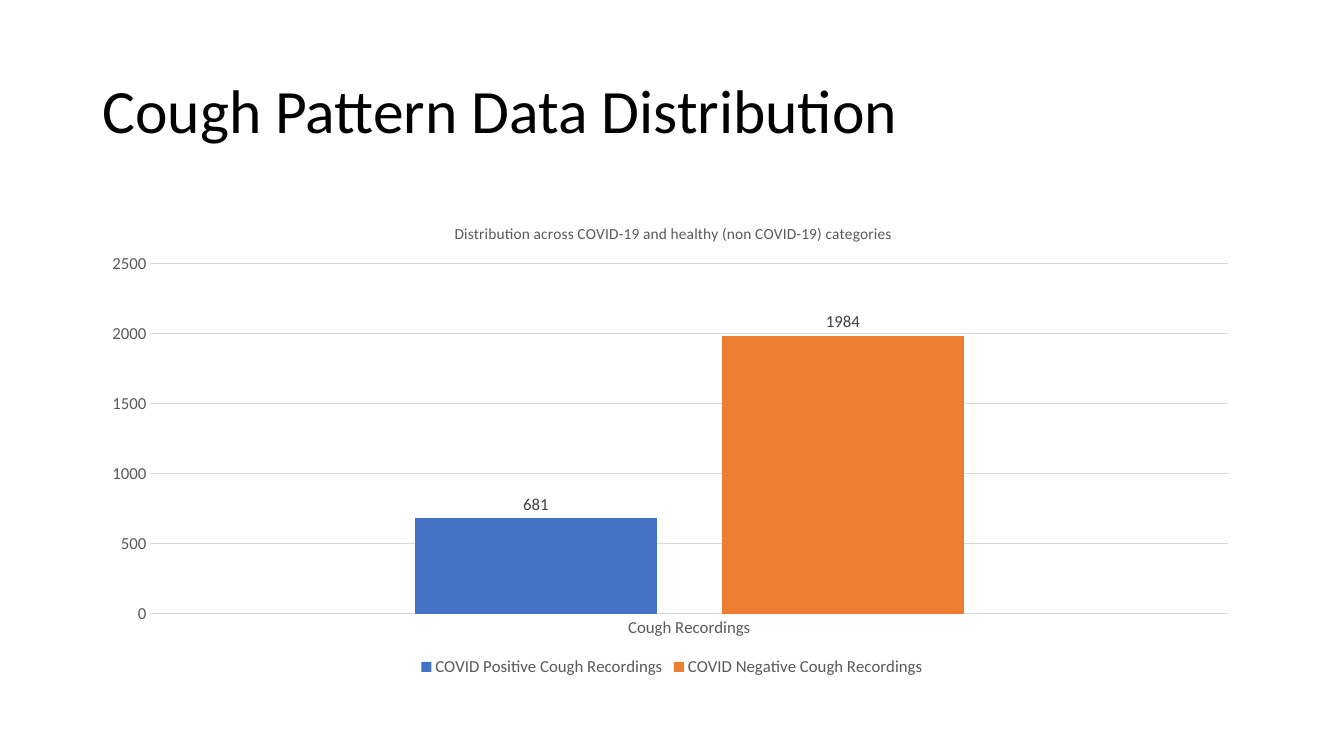
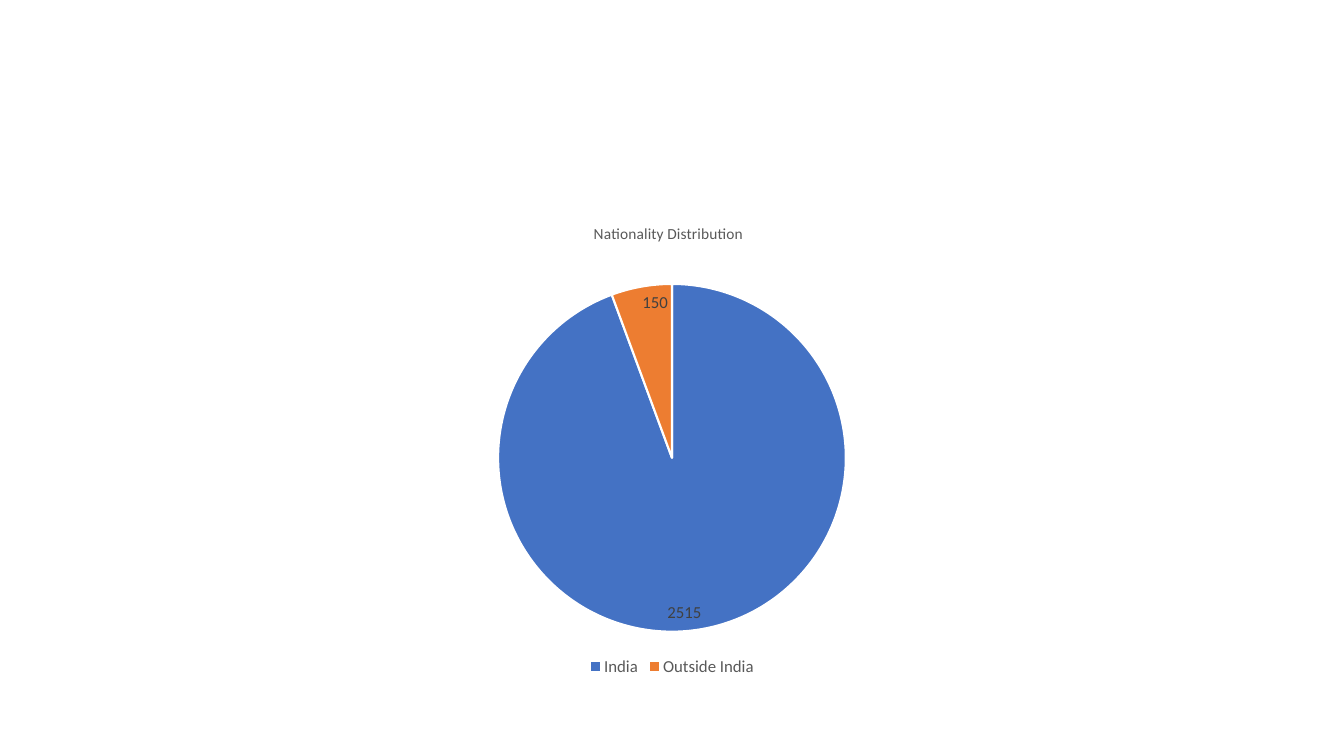
from lxml import etree
from pptx import Presentation
from pptx.chart.data import CategoryChartData
from pptx.dml.color import RGBColor
from pptx.enum.chart import XL_CHART_TYPE, XL_LABEL_POSITION, XL_LEGEND_POSITION, XL_TICK_MARK
from pptx.enum.text import MSO_ANCHOR, PP_ALIGN
from pptx.oxml.ns import qn
from pptx.util import Cm, Pt

COLUMN = XL_CHART_TYPE.COLUMN_CLUSTERED
PIE = XL_CHART_TYPE.PIE
OUTSIDE_END = XL_LABEL_POSITION.OUTSIDE_END
INSIDE_END = XL_LABEL_POSITION.INSIDE_END
LEGEND_BOTTOM = XL_LEGEND_POSITION.BOTTOM
NO_TICK = XL_TICK_MARK.NONE
LEFT = PP_ALIGN.LEFT
MIDDLE = MSO_ANCHOR.MIDDLE

FONT = "Calibri"
BLACK, WHITE = "000000", "FFFFFF"
GRAY, DARK_GRAY, GRID_GRAY = "595959", "404040", "D9D9D9"
ACCENTS = ["4472C4", "ED7D31"]
MARGIN, CONTENT_WIDTH = Cm(2.33), Cm(29.21)
TITLE_ONLY, BLANK = 5, 6


def style_font(font, size, color):
    font.name = FONT
    font.size = Pt(size)
    font.bold = False
    font.color.rgb = RGBColor.from_string(color)


def place_part(part, **fractions):
    layout = part.find(qn("c:layout"))
    if layout is None:
        layout = etree.Element(qn("c:layout"))
        part.insert(0, layout)
    for child in list(layout):
        layout.remove(child)
    manual = etree.SubElement(layout, qn("c:manualLayout"))
    settings = {"xMode": "edge", "yMode": "edge", **fractions}
    if "w" in fractions:
        settings = {"layoutTarget": "inner", **settings}
    for name, value in settings.items():
        etree.SubElement(manual, qn(f"c:{name}")).set("val", str(value))


deck = Presentation()
deck.slide_width, deck.slide_height = Cm(33.87), Cm(19.05)

recordings = CategoryChartData()
recordings.categories = ["Cough Recordings"]
recordings.add_series("COVID Positive Cough Recordings", [681])
recordings.add_series("COVID Negative Cough Recordings", [1984])

nationality = CategoryChartData()
nationality.categories = ["India", "Outside India"]
nationality.add_series("Series 1", [2515, 150])

chart_pages = [
    (TITLE_ONLY, COLUMN, recordings, OUTSIDE_END,
     "Distribution across COVID-19 and healthy (non COVID-19) categories",
     {"x": 0.31, "y": 0.04}, {"x": 0.05, "y": 0.13, "w": 0.93, "h": 0.73}),
    (BLANK, PIE, nationality, INSIDE_END, "Nationality Distribution",
     {"x": 0.43, "y": 0.04}, {"x": 0.35, "y": 0.17, "w": 0.3, "h": 0.73}),
]

charts = []
for layout_index, kind, data, label_position, heading, heading_place, plot_place in chart_pages:
    page = deck.slides.add_slide(deck.slide_layouts[layout_index])
    frame = page.shapes.add_chart(kind, MARGIN, Cm(5.07), CONTENT_WIDTH, Cm(12.09), data)
    chart = frame.chart
    style_font(chart.font, 10, BLACK)
    chart.has_title = True
    chart.chart_title.text_frame.text = heading
    style_font(chart.chart_title.text_frame.paragraphs[0].runs[0].font, 11, GRAY)
    place_part(chart.chart_title.element, **heading_place)
    place_part(chart.element.find(".//" + qn("c:plotArea")), **plot_place)

    chart.has_legend = True
    chart.legend.position = LEGEND_BOTTOM
    chart.legend.include_in_layout = False
    style_font(chart.legend.font, 12, GRAY)

    plot = chart.plots[0]
    plot.vary_by_categories = kind == PIE
    plot.has_data_labels = True
    plot.data_labels.show_value = True
    plot.data_labels.position = label_position
    style_font(plot.data_labels.font, 12, DARK_GRAY)
    charts.append(chart)

column_chart, pie_chart = charts

title = deck.slides[0].shapes.title
title.left, title.top, title.width, title.height = MARGIN, Cm(1.01), CONTENT_WIDTH, Cm(3.68)
title.text_frame.text = "Cough Pattern Data Distribution"
title.text_frame.vertical_anchor = MIDDLE
paragraph = title.text_frame.paragraphs[0]
paragraph.alignment = LEFT
paragraph.line_spacing = 0.9
style_font(paragraph.runs[0].font, 44, BLACK)

bars = column_chart.plots[0]
bars.gap_width, bars.overlap = 219, -27
for series, color in zip(bars.series, ACCENTS):
    series.format.fill.solid()
    series.format.fill.fore_color.rgb = RGBColor.from_string(color)

category_axis, value_axis = column_chart.category_axis, column_chart.value_axis
for axis in (category_axis, value_axis):
    axis.major_tick_mark = axis.minor_tick_mark = NO_TICK
    style_font(axis.tick_labels.font, 12, GRAY)
value_axis.minimum_scale, value_axis.maximum_scale, value_axis.major_unit = 0, 2500, 500
value_axis.format.line.fill.background()
for line in (category_axis.format.line, value_axis.major_gridlines.format.line):
    line.color.rgb = RGBColor.from_string(GRID_GRAY)
    line.width = Pt(0.75)

slices = pie_chart.plots[0].series[0].points
for index, color in enumerate(ACCENTS):
    slice_format = slices[index].format
    slice_format.fill.solid()
    slice_format.fill.fore_color.rgb = RGBColor.from_string(color)
    slice_format.line.color.rgb = RGBColor.from_string(WHITE)
    slice_format.line.width = Pt(1.5)

deck.save("out.pptx")
